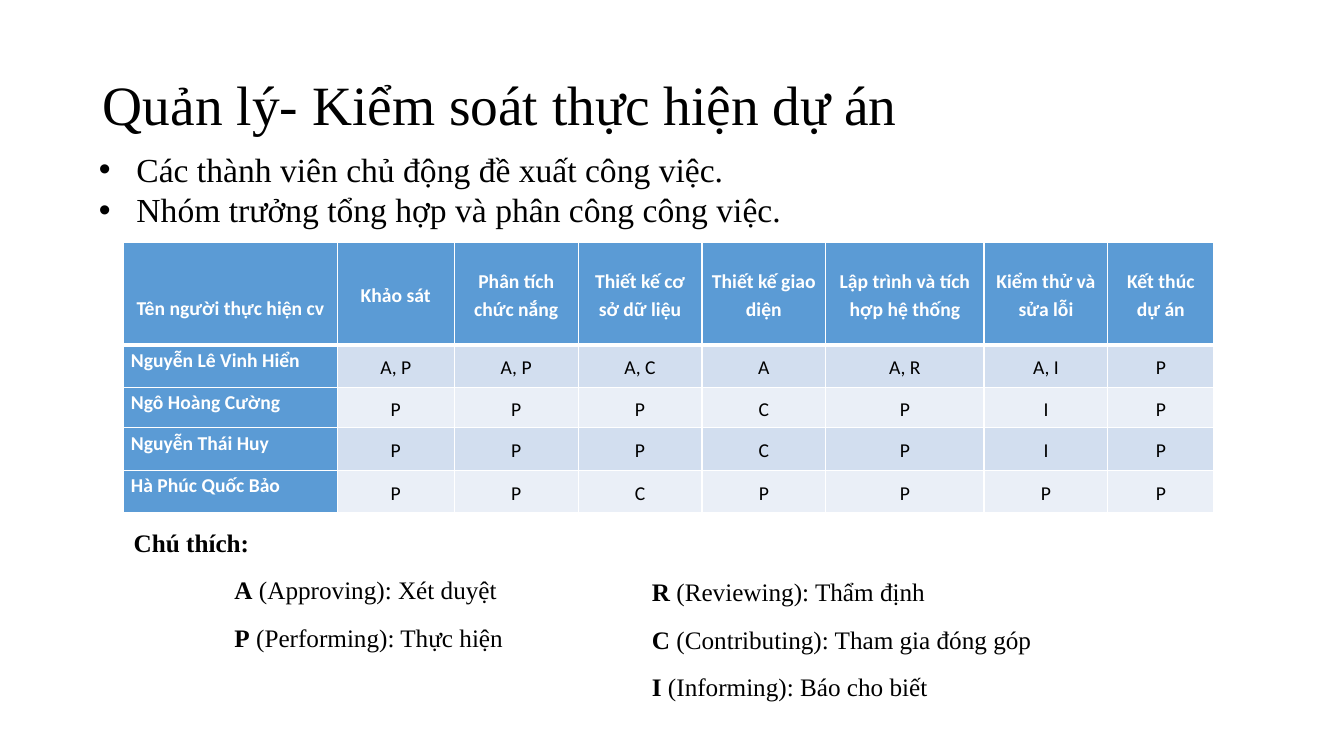
from lxml.etree import SubElement as Sub
from pptx import Presentation
from pptx.dml.color import RGBColor as Rgb
from pptx.enum.text import MSO_ANCHOR as Anchor, MSO_AUTO_SIZE as Fit, PP_ALIGN as Align
from pptx.oxml.ns import qn
from pptx.util import Cm, Pt

BLACK = Rgb(0x00, 0x00, 0x00)
WHITE = Rgb(0xFF, 0xFF, 0xFF)
BLUE = Rgb(0x5B, 0x9B, 0xD5)
BANDS = Rgb(0xD2, 0xDE, 0xEF), Rgb(0xEA, 0xEF, 0xF7)

HEADS = ["Tên người thực hiện cv", "Khảo sát", "Phân tích chức nắng",
         "Thiết kế cơ sở dữ liệu", "Thiết kế giao diện",
         "Lập trình và tích hợp hệ thống", "Kiểm thử và sửa lỗi", "Kết thúc dự án"]
ROLES = [
    ["Nguyễn Lê Vinh Hiển", "A, P", "A, P", "A, C", "A", "A, R", "A, I", "P"],
    ["Ngô Hoàng Cường", "P", "P", "P", "C", "P", "I", "P"],
    ["Nguyễn Thái Huy", "P", "P", "P", "C", "P", "I", "P"],
    ["Hà Phúc Quốc Bảo", "P", "P", "C", "P", "P", "P", "P"],
]
WIDTHS = [5.38, 2.95, 3.12, 3.12, 3.12, 3.99, 3.12, 2.67]
HEIGHTS = [2.57, 1.07, 1.02, 1.07, 1.07]


def write(frame, text, lead="", font="Times New Roman", size=18, color=BLACK,
          bold=False, align=Align.LEFT, line=1.0, gap=0, left=0, bullet=False):
    """Add one paragraph, with an optional bold lead, to a text frame."""
    para = frame.paragraphs[0]
    if para.runs:
        para = frame.add_paragraph()
    para.alignment, para.line_spacing = align, line
    para.space_before = para.space_after = Pt(gap)
    for part, heavy in ((lead, True), (text, bold)):
        if part:
            run = para.add_run()
            run.text = part
            run.font.name, run.font.size = font, Pt(size)
            run.font.bold, run.font.color.rgb = heavy, color
    props = para._p.get_or_add_pPr()
    props.set("marL", str(Cm(left)))
    props.set("indent", str(-Cm(left) if bullet else 0))
    if bullet:
        Sub(props, qn("a:buFont"), typeface="Arial")
        Sub(props, qn("a:buChar"), char="•")


def edge(cell, widths):
    """Draw white borders in the order left, right, top, bottom."""
    props = cell._tc.get_or_add_tcPr()
    for spot, (side, width) in enumerate(zip("LRTB", widths)):
        rule = Sub(props, qn(f"a:ln{side}"), w=str(Pt(width)))
        fill = Sub(rule, qn("a:solidFill"))
        Sub(fill, qn("a:srgbClr"), val=str(WHITE))
        props.insert(spot, rule)


class Deck:
    """Holds the show, its current slide and the shared style."""

    def __init__(self):
        """Start a wide show with one title-only slide."""
        self.show = Presentation()
        self.show.slide_width, self.show.slide_height = Cm(33.87), Cm(19.05)
        self.slide = self.show.slides.add_slide(self.show.slide_layouts[5])
        self.note = dict(line=1.3, gap=3)
        self.grid = dict(font="Calibri", size=14, line=1.15, gap=4)

    def title(self, text, x, y, w, h):
        """Place and fill the title."""
        shape = self.slide.shapes.title
        shape.left, shape.top, shape.width, shape.height = map(Cm, (x, y, w, h))
        frame = shape.text_frame
        frame.auto_size, frame.vertical_anchor = Fit.NONE, Anchor.MIDDLE
        write(frame, text, size=39.6, line=0.9)

    def box(self, x, y, w, h):
        """Add a wrapping text box and return its frame."""
        frame = self.slide.shapes.add_textbox(*map(Cm, (x, y, w, h))).text_frame
        frame.word_wrap = True
        return frame

    def list(self, items, *place):
        """Add a bulleted list."""
        frame = self.box(*place)
        for item in items:
            write(frame, item, size=24, left=0.95, bullet=True)

    def key(self, items, *place, head=""):
        """Add a legend of role letters under an optional heading."""
        frame = self.box(*place)
        if head:
            write(frame, head, bold=True, **self.note)
        for lead, text in items:
            write(frame, text, lead=lead, left=2.54, **self.note)

    def table(self, rows, x, y):
        """Add the role table."""
        table = self.slide.shapes.add_table(
            len(rows), len(WIDTHS), Cm(x), Cm(y),
            Cm(sum(WIDTHS)), Cm(sum(HEIGHTS))).table
        for col, width in zip(table.columns, WIDTHS):
            col.width = Cm(width)
        for r, (row, height) in enumerate(zip(rows, HEIGHTS)):
            table.rows[r].height = Cm(height)
            for c, text in enumerate(row):
                self.cell(table.cell(r, c), text, r, c)
        table.cell(0, 0).margin_top = Cm(0.68)

    def cell(self, cell, text, r, c):
        """Fill and format one table cell."""
        main, name = r == 0 or c == 0, r > 0 and c == 0
        cell.margin_left = cell.margin_right = Cm(0.18)
        cell.margin_top = cell.margin_bottom = 0
        cell.vertical_anchor = Anchor.TOP if name else Anchor.MIDDLE
        cell.fill.solid()
        cell.fill.fore_color.rgb = BLUE if main else BANDS[(r - 1) % 2]
        edge(cell, (1, 1, 3 if r == 1 else 1, 3 if r == 0 else 1))
        write(cell.text_frame, text, bold=main, color=WHITE if main else BLACK,
              align=Align.LEFT if name else Align.CENTER, **self.grid)


def main():
    """Build and save the slide."""
    deck = Deck()
    deck.title("Quản lý- Kiểm soát thực hiện dự án", 2.34, 1.88, 29.21, 1.68)
    deck.list(["Các thành viên chủ động đề xuất công việc.",
               "Nhóm trưởng tổng hợp và phân công công việc."], 2.24, 3.63, 28.32, 4.37)
    deck.table([HEADS] + ROLES, 3.12, 6.12)
    deck.key([("A", " (Approving): Xét duyệt"), ("P", " (Performing): Thực hiện")],
             3.12, 12.93, 15.8, 3.68, head="Chú thích:")
    deck.key([("R", " (Reviewing): Thẩm định"),
              ("C", " (Contributing): Tham gia đóng góp"),
              ("I", " (Informing): Báo cho biết")], 13.64, 14.17, 16.94, 3.68)
    deck.show.save("out.pptx")


if __name__ == "__main__":
    main()
